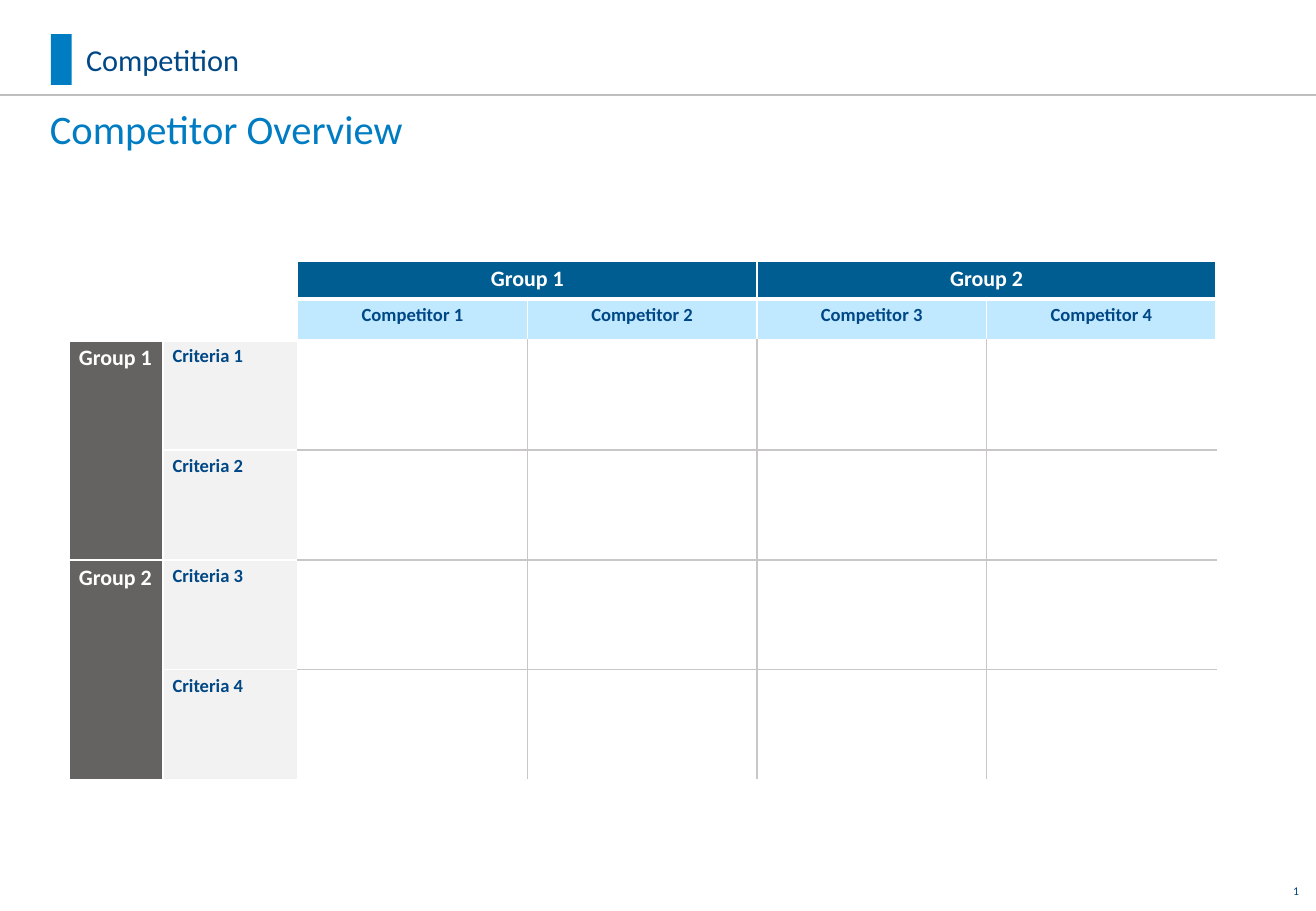
"""Build the competitor overview slide with its comparison matrix."""
from lxml.etree import SubElement
from pptx import Presentation
from pptx.dml.color import RGBColor
from pptx.enum.shapes import MSO_CONNECTOR as Connector, MSO_SHAPE as Preset
from pptx.enum.text import MSO_ANCHOR as Anchor, MSO_AUTO_SIZE as AutoSize, PP_ALIGN as Align
from pptx.oxml.ns import qn
from pptx.util import Inches, Pt

WHITE, NAVY, BLUE, GRID = "FFFFFF", "004785", "007CC3", "C8C6C6"


def paint(target, color):
    """Give a fill or a font a solid hex colour."""
    if hasattr(target, "solid"):
        target.solid()
        target.fore_color.rgb = RGBColor.from_string(color)
    else:
        target.color.rgb = RGBColor.from_string(color)


def write(frame, text, size, color, align=Align.LEFT, bold=False):
    """Write one formatted paragraph into a text frame."""
    paragraph = frame.paragraphs[0]
    paragraph.alignment = align
    run = paragraph.add_run()
    run.text = text
    for name, value in {"name": "Calibri", "size": Pt(size), "bold": bold}.items():
        setattr(run.font, name, value)
    paint(run.font, color)


presentation = Presentation()
presentation.slide_width, presentation.slide_height = Inches(10.83), Inches(7.5)
slide = presentation.slides.add_slide(presentation.slide_layouts[5])
shapes = slide.shapes

marker = shapes.add_shape(Preset.RECTANGLE, Inches(0.42), Inches(0.28), Inches(0.17), Inches(0.42))
marker.shadow.inherit = False
paint(marker.fill, BLUE)
marker.line.fill.background()

rule = shapes.add_connector(Connector.STRAIGHT, 0, Inches(0.78), Inches(10.83), Inches(0.78))
paint(rule.line.fill, "BFBFBF")
rule.line.width = Pt(1)
SubElement(rule.element.spPr, qn("a:effectLst"))

title = shapes.title
section = shapes.add_textbox(0, 0, 0, 0)
number = shapes.add_textbox(0, 0, 0, 0)
texts = [
    (title, "Competitor Overview", (0.41, 0.86, 9.34, 0.79), 24, BLUE, Align.LEFT, Anchor.TOP, 0),
    (section, "Competition", (0.61, 0.28, 7.44, 0.42), 18, NAVY, Align.LEFT, Anchor.MIDDLE, 0.1),
    (number, "1", (10.45, 7.1, 0.24, 0.29), 7, NAVY, Align.RIGHT, Anchor.BOTTOM, 0),
]
for shape, text, place, size, color, align, anchor, inset in texts:
    for name, value in zip(("left", "top", "width", "height"), place):
        setattr(shape, name, Inches(value))
    frame_format = {
        "word_wrap": True, "auto_size": AutoSize.NONE, "vertical_anchor": anchor,
        "margin_left": Inches(inset), "margin_right": Inches(inset),
        "margin_top": 0, "margin_bottom": 0,
    }
    for name, value in frame_format.items():
        setattr(shape.text_frame, name, value)
    write(shape.text_frame, text, size, color, align)

column_widths = [0.77, 1.11] + [1.89] * 4
row_heights = [0.31, 0.34] + [(4.27 - 0.31 - 0.34) / 4] * 4
table = shapes.add_table(6, 6, Inches(0.57), Inches(2.15), Inches(9.45), Inches(4.27)).table
for column, width in zip(table.columns, column_widths):
    column.width = Inches(width)
for row, height in zip(table.rows, row_heights):
    row.height = Inches(height)

labels = {}
for group in (1, 2):
    labels[0, 2 * group] = labels[2 * group, 0] = f"Group {group}"
for item in range(1, 5):
    labels[1, item + 1] = f"Competitor {item}"
    labels[item + 1, 1] = f"Criteria {item}"

cell_margins = {
    "margin_left": Inches(0.08), "margin_right": Inches(0.08),
    "margin_top": Inches(0.04), "margin_bottom": Inches(0.04),
}
for row in range(6):
    for column in range(6):
        cell = table.cell(row, column)
        for name, value in cell_margins.items():
            setattr(cell, name, value)

        body = row >= 2 and column >= 2
        gray_edges = {
            "L": body and column > 2, "R": body and column < 5,
            "T": body and row > 2, "B": body and row < 5,
        }
        properties = cell._tc.get_or_add_tcPr()
        for side, gray in gray_edges.items():
            thick = (row, side) in ((0, "B"), (1, "T"))
            line = SubElement(properties, qn(f"a:ln{side}"), w=str(Pt(3 if thick else 1)))
            fill = SubElement(line, qn("a:solidFill"))
            SubElement(fill, qn("a:srgbClr"), val=GRID if gray else WHITE)

        if body or (row < 2 and column < 2):
            background = WHITE
        elif row < 2:
            background = ("005D92", "C0E8FF")[row]
        else:
            background = ("656262", "F2F2F2")[column]
        paint(cell.fill, background)

        if (row, column) in labels:
            is_group = row == 0 or column == 0
            write(cell.text_frame, labels[row, column], 13 if is_group else 11,
                  WHITE if is_group else NAVY, Align.CENTER if row < 2 else Align.LEFT, True)
        else:
            SubElement(cell.text_frame.paragraphs[0]._p, qn("a:endParaRPr"), sz="1100")

merges = [((0, 0), (1, 1)), ((0, 2), (0, 3)), ((0, 4), (0, 5)), ((2, 0), (3, 0)), ((4, 0), (5, 0))]
for first, last in merges:
    table.cell(*first).merge(table.cell(*last))

presentation.save("out.pptx")
